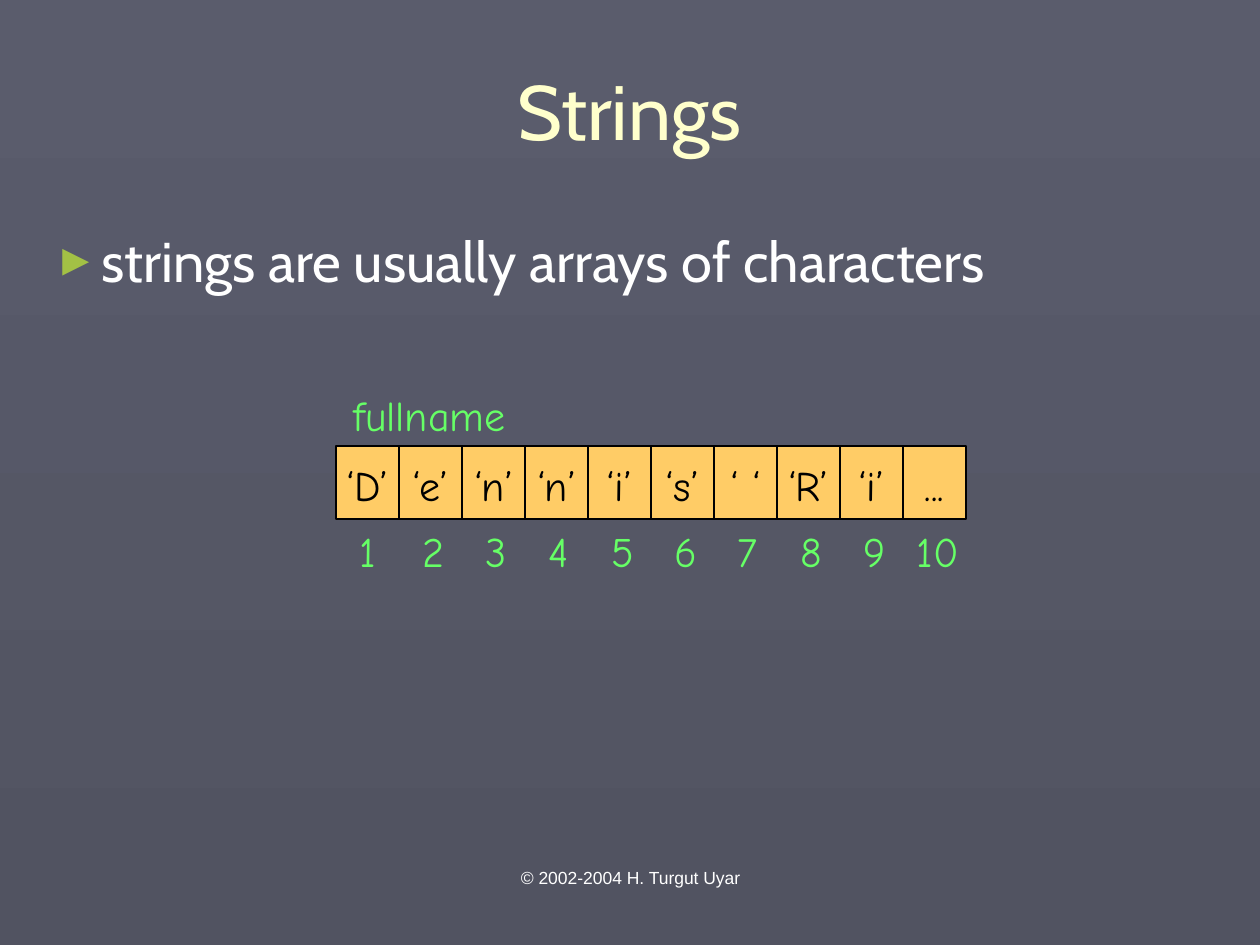
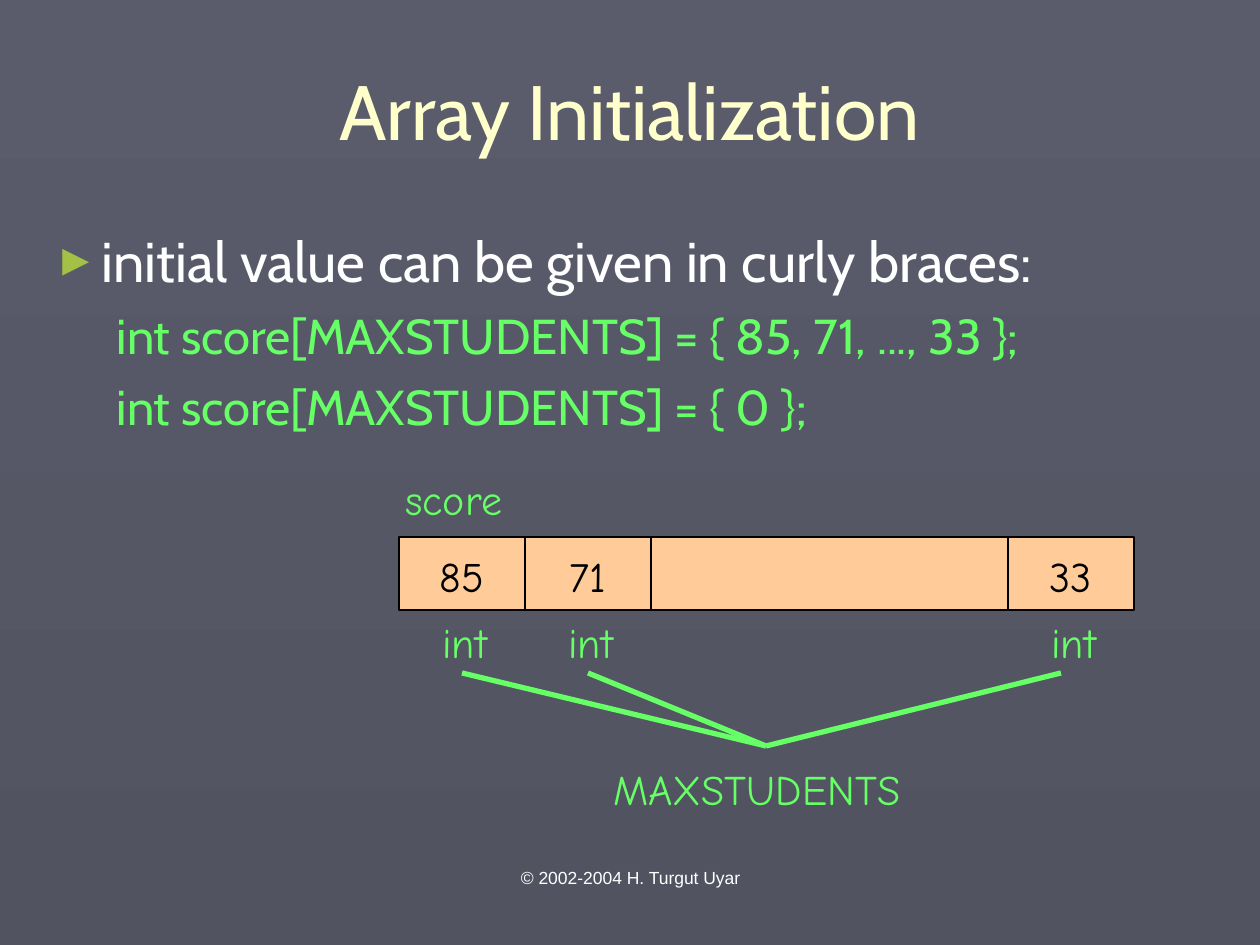
"""Build two slides on strings and array initialization."""
import dataclasses

import lxml.etree
import pptx
import pptx.dml.color
import pptx.enum.shapes
import pptx.enum.text
import pptx.oxml.ns
import pptx.util

ALIGN = pptx.enum.text.PP_ALIGN
AUTO_SIZE = pptx.enum.text.MSO_AUTO_SIZE
ANCHOR = pptx.enum.text.MSO_ANCHOR


@dataclasses.dataclass(frozen=True)
class Theme:
    """Colours, fonts and type sizes of the slides."""
    sky: str = "5A5C6C"
    ground: str = "515361"
    title: str = "FFFFCC"
    text: str = "FFFFFF"
    code: str = "66FF66"
    bullet: str = "A3C145"
    ink: str = "000000"
    char_cell: str = "FFCC66"
    score_cell: str = "FFCC99"
    heading_font: str = "Cabin"
    diagram_font: str = "Comic Neue"
    footer_font: str = "Arial"
    title_size: int = 44
    text_size: int = 32
    code_size: int = 28
    diagram_size: int = 24
    footer_size: int = 10


@dataclasses.dataclass(frozen=True)
class Box:
    """A rectangle in px."""
    left: int
    top: int
    width: int
    height: int

    def inner(self, left, top, width, height):
        """Return a box placed relative to this one."""
        return Box(self.left + left, self.top + top, width, height)

    def emu(self):
        """Return the four lengths in EMU."""
        return [px(n) for n in (self.left, self.top, self.width, self.height)]


THEME = Theme()
PX_PER_INCH = 126
PAGE = Box(0, 0, 1260, 945)
TITLE = Box(41, 31, 1177, 157)
FOOTER = Box(431, 861, 399, 66)
CELL_HEIGHT = 73
LABEL_HEIGHT = 68


def px(count):
    """Turn px into EMU."""
    return pptx.util.Emu(round(count * 914400 / PX_PER_INCH))


def rgb(code):
    """Return a colour from its hex code."""
    return pptx.dml.color.RGBColor.from_string(code)


def style(paragraph, font_name, size, colour, align=None):
    """Set the font and alignment of a paragraph."""
    paragraph.font.name = font_name
    paragraph.font.size = pptx.util.Pt(size)
    paragraph.font.color.rgb = rgb(colour)
    if align is not None:
        paragraph.alignment = align


def place(part, box):
    """Move a shape into a box."""
    part.left, part.top, part.width, part.height = box.emu()


def set_background(master):
    """Give every slide the vertical gradient."""
    fill = master.background.fill
    fill.gradient()
    fill.gradient_angle = 270
    for stop, colour in zip(fill.gradient_stops, (THEME.sky, THEME.ground)):
        stop.color.rgb = rgb(colour)


def set_bullet(paragraph, indent, hanging, mark=None):
    """Set the indents and the bullet of a paragraph."""
    properties = paragraph._p.get_or_add_pPr()
    properties.set("marL", str(px(indent)))
    properties.set("indent", str(-px(hanging)))

    def add(tag, **attributes):
        """Append one bullet property."""
        return lxml.etree.SubElement(properties, pptx.oxml.ns.qn(tag), attributes)

    if mark is None:
        add("a:buNone")
        return
    lxml.etree.SubElement(add("a:buClr"), pptx.oxml.ns.qn("a:srgbClr"), val=THEME.bullet)
    add("a:buSzPct", val="80000")
    add("a:buFont", typeface=THEME.footer_font)
    add("a:buChar", char=mark)


def add_title(slide, box, wording):
    """Fill the title placeholder."""
    title = slide.shapes.title
    place(title, box)
    title.text_frame.text = wording
    title.text_frame.auto_size = AUTO_SIZE.NONE
    title.text_frame.vertical_anchor = ANCHOR.MIDDLE
    style(title.text_frame.paragraphs[0], THEME.heading_font, THEME.title_size,
          THEME.title, ALIGN.CENTER)


def add_body(slide, box, statement, code_lines):
    """Fill the body placeholder with a statement and its code lines."""
    body = slide.placeholders[1]
    place(body, box)
    frame = body.text_frame
    frame.auto_size = AUTO_SIZE.NONE
    frame.text = "\n".join([statement, *code_lines])
    point, *codes = frame.paragraphs
    point.space_before = pptx.util.Pt(8)
    set_bullet(point, 48, 48, "►")
    style(point, THEME.heading_font, THEME.text_size, THEME.text)
    for code in codes:
        code.level = 1
        code.space_before = pptx.util.Pt(7)
        set_bullet(code, 102, 39)
        style(code, THEME.heading_font, THEME.code_size, THEME.code)


def add_footer(slide, box):
    """Add the copyright line."""
    footer = slide.shapes.add_textbox(*box.emu())
    footer.text_frame.word_wrap = True
    footer.text_frame.text = "© 2002-2004 H. Turgut Uyar"
    style(footer.text_frame.paragraphs[0], THEME.footer_font, THEME.footer_size,
          THEME.text, ALIGN.CENTER)


def write_in_diagram(part, wording, colour, align):
    """Write one unwrapped line of diagram text."""
    part.text_frame.word_wrap = False
    part.text_frame.text = wording
    line = part.text_frame.paragraphs[0]
    line.line_spacing = 1.1
    line.space_before = pptx.util.Pt(6)
    style(line, THEME.diagram_font, THEME.diagram_size, colour, align)


def add_label(diagram, box, wording):
    """Add a green label to a diagram."""
    label = diagram.shapes.add_textbox(*box.emu())
    write_in_diagram(label, wording, THEME.code, ALIGN.LEFT)
    label.text_frame.auto_size = AUTO_SIZE.SHAPE_TO_FIT_TEXT


def add_cell(diagram, box, value, colour, border):
    """Add one array cell to a diagram."""
    cell = diagram.shapes.add_shape(pptx.enum.shapes.MSO_SHAPE.RECTANGLE, *box.emu())
    cell.shadow.inherit = False
    cell.fill.solid()
    cell.fill.fore_color.rgb = rgb(colour)
    cell.line.color.rgb = rgb(THEME.ink)
    cell.line.width = pptx.util.Pt(border)
    if value:
        cell.text_frame.vertical_anchor = ANCHOR.MIDDLE
        write_in_diagram(cell, value, THEME.ink, ALIGN.CENTER)


def add_link(diagram, start, end):
    """Draw a green line between two points."""
    ends = [px(n) for n in (*start, *end)]
    link = diagram.shapes.add_connector(pptx.enum.shapes.MSO_CONNECTOR.STRAIGHT, *ends)
    link.line.color.rgb = rgb(THEME.code)
    link.line.width = pptx.util.Pt(3)
    lxml.etree.SubElement(link._element.spPr, pptx.oxml.ns.qn("a:effectLst"))


def add_string_diagram(slide, box, name, characters):
    """Draw a string as numbered cells."""
    diagram = slide.shapes.add_group_shape()
    add_label(diagram, box.inner(5, 0, 178, LABEL_HEIGHT), name)
    step = box.width // len(characters)
    for index, character in enumerate(characters):
        left = index * step
        add_cell(diagram, box.inner(left, 68, step, CELL_HEIGHT), character,
                 THEME.char_cell, 0.75)
        number = str(index + 1)
        width = 25 + 21 * len(number)
        add_label(diagram, box.inner(left + 3 + (step - width) // 2, 136, width, LABEL_HEIGHT),
                  number)


def add_score_diagram(slide, box):
    """Draw the score array with its element types and its size."""
    diagram = slide.shapes.add_group_shape()
    cells = [("85", 126, 63), ("71", 126, 63), ("", 357, None), ("33", 126, 53)]
    left = 0
    for value, width, link_offset in cells:
        add_cell(diagram, box.inner(left, 75, width, CELL_HEIGHT), value, THEME.score_cell, 1)
        if value:
            add_label(diagram, box.inner(left + 31, 143, 76, LABEL_HEIGHT), "int")
            add_link(diagram, (box.left + left + link_offset, box.top + 211),
                     (box.left + box.width // 2, box.top + 284))
        left += width
    add_label(diagram, box.inner(-6, 0, 122, LABEL_HEIGHT), "score")
    add_label(diagram, box.inner(202, 290, 312, LABEL_HEIGHT), "MAXSTUDENTS")


def add_slide(deck, title, body_height, statement, code_lines=()):
    """Add a slide with a title, a body and a footer."""
    slide = deck.slides.add_slide(deck.slide_layouts[1])
    add_title(slide, TITLE, title)
    add_body(slide, Box(TITLE.left, 220, TITLE.width, body_height), statement, code_lines)
    add_footer(slide, FOOTER)
    return slide


def main():
    """Build and save the deck."""
    deck = pptx.Presentation()
    deck.slide_width, deck.slide_height = px(PAGE.width), px(PAGE.height)
    set_background(deck.slide_master)

    strings = add_slide(deck, "Strings", 355, "strings are usually arrays of characters")
    characters = [f"‘{letter}’" for letter in "Dennis"] + ["‘ ‘", "‘R’", "‘i’", "..."]
    add_string_diagram(strings, Box(336, 378, 630, 204), "fullname", characters)

    initialization = add_slide(
        deck, "Array Initialization", 620, "initial value can be given in curly braces:",
        ["int score[MAXSTUDENTS] = { 85, 71, ..., 33 };", "int score[MAXSTUDENTS] = { 0 };"])
    add_score_diagram(initialization, Box(399, 462, 735, 358))

    deck.save("out.pptx")


if __name__ == "__main__":
    main()
